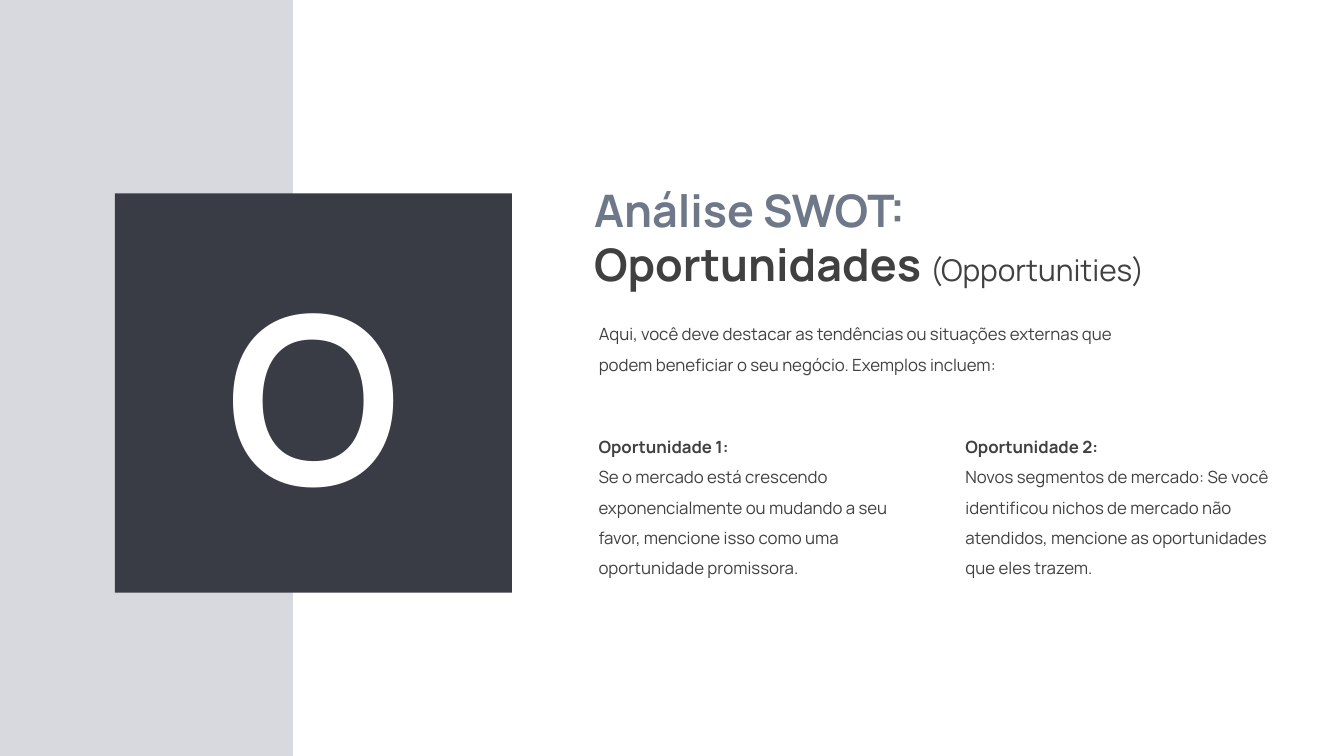
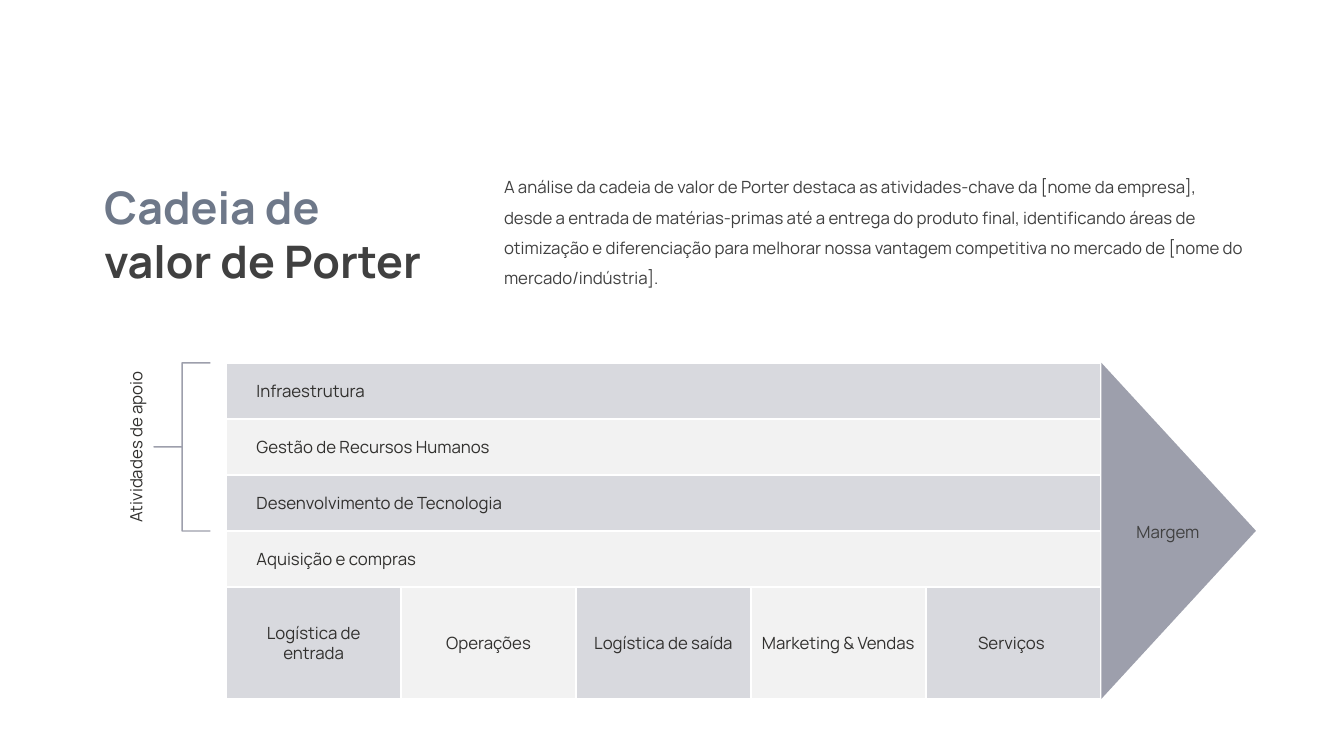
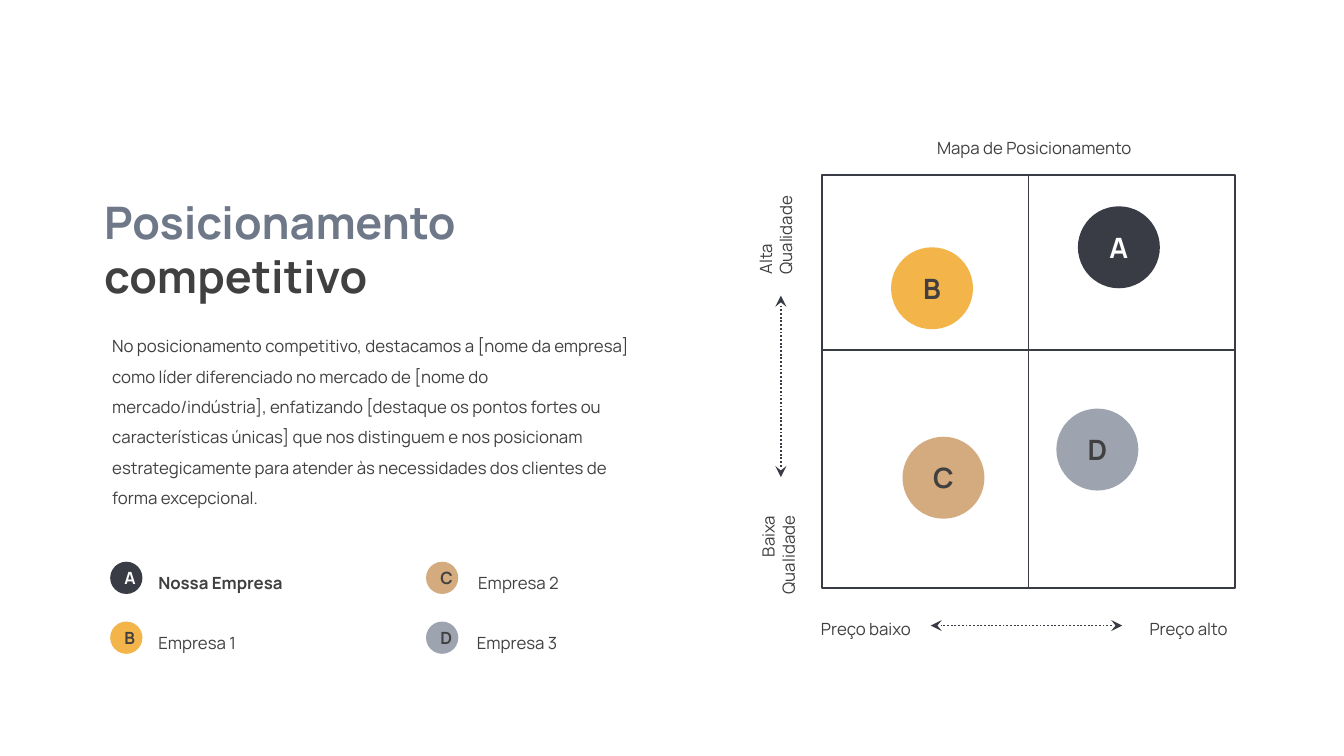
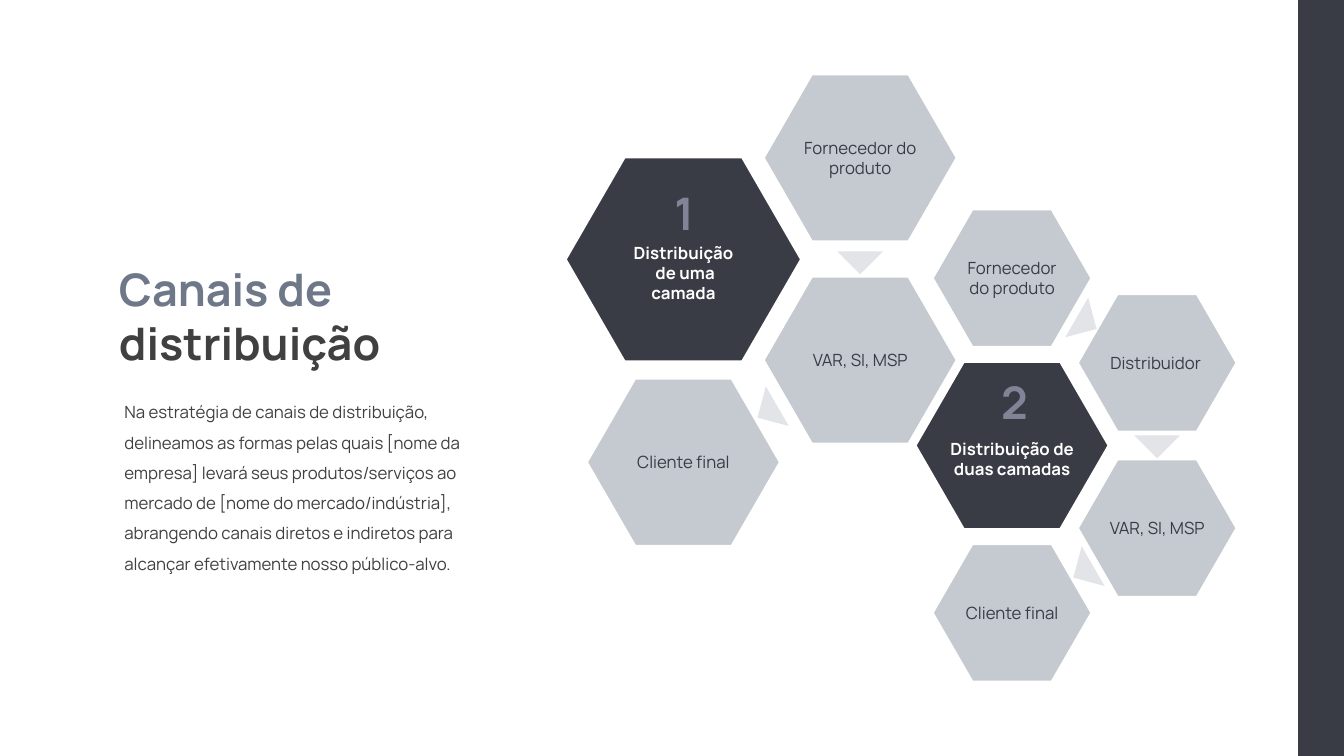
from dataclasses import dataclass

from pptx import Presentation
from pptx import util as u
from pptx.dml.color import RGBColor
from pptx.enum import dml, shapes, text
from pptx.oxml.ns import qn


@dataclass(frozen=True)
class Theme:
    font: str = "Manrope"
    dark: str = "393B45"
    steel: str = "6E7889"
    ink: str = "404040"
    label: str = "31302E"
    white: str = "FFFFFF"
    silver: str = "D8D9DE"
    pale: str = "F2F2F2"
    mauve: str = "9D9FAC"
    numeral: str = "818497"
    hexagon: str = "C5C9D0"
    pointer: str = "E2E4E8"
    amber: str = "F3B54A"
    sand: str = "D4AB7F"
    title_size: float = 24
    subtitle_size: float = 16
    body_size: float = 9
    marker_size: float = 15
    letter_size: float = 124.5
    leading: float = 1.5


theme = Theme()
PRESET = shapes.MSO_SHAPE
ALIGN = text.PP_ALIGN
ANCHOR = text.MSO_ANCHOR

presentation = Presentation()
presentation.slide_width = u.Inches(10)
presentation.slide_height = presentation.slide_width * 9 // 16

# Square grid cells: the slide is 100 columns wide and 56.25 rows high
CELL = presentation.slide_width // 100
COLUMNS, ROWS = 100, 56.25


def add_block(slide, kind, box, fill=None, line=None, width=1, opacity=100):
    """Add a text box (kind None) or a preset shape, placed in grid cells."""
    left, top, across, down = (round(value * CELL) for value in box)
    if kind is None:
        return slide.shapes.add_textbox(left, top, across, down)
    shape = slide.shapes.add_shape(kind, left, top, across, down)
    shape.shadow.inherit = False
    if fill:
        shape.fill.solid()
        shape.fill.fore_color.rgb = RGBColor.from_string(fill)
        if opacity < 100:
            color = shape.fill._xPr.find(qn("a:solidFill"))[0]
            color.append(color.makeelement(qn("a:alpha"), {"val": str(opacity * 1000)}))
    else:
        shape.fill.background()
    if line:
        shape.line.color.rgb = RGBColor.from_string(line)
        shape.line.width = u.Pt(width)
    else:
        shape.line.fill.background()
    return shape


def write(shape, words, size=theme.body_size, color=theme.ink, bold=False, align=ALIGN.LEFT,
          leading=None, anchor=ANCHOR.TOP, indent=0, tracking=0):
    """Set the words of a shape, then format its paragraphs and runs."""
    frame = shape.text_frame
    frame.text = words
    frame.word_wrap = True
    frame.auto_size = text.MSO_AUTO_SIZE.NONE
    frame.vertical_anchor = anchor
    for paragraph in frame.paragraphs:
        properties = paragraph._p.get_or_add_pPr()
        properties.set("marL", str(round(indent * CELL)))
        properties.set("indent", "0")
        properties.append(properties.makeelement(qn("a:buNone"), {}))
        paragraph.alignment = align
        paragraph.space_before = u.Pt(0)
        if leading:
            paragraph.line_spacing = leading
        for run in paragraph.runs:
            run.font.name = theme.font
            run.font.size = u.Pt(size)
            run.font.bold = bold
            run.font.color.rgb = RGBColor.from_string(color)
            if tracking:
                run._r.get_or_add_rPr().set("spc", str(tracking))
    return frame


# Titles and body texts of all slides
pages = [
    ("Análise SWOT:\nOportunidades ", (43.2, 13.1, 48.2, 9.1),
     "Aqui, você deve destacar as tendências ou situações externas que podem beneficiar o seu "
     "negócio. Exemplos incluem:", (43.55, 22.85, 43.7, 5.3), ANCHOR.TOP),
    ("Cadeia de\nvalor de Porter", (6.75, 12.9, 29.7, 9.1),
     "A análise da cadeia de valor de Porter destaca as atividades-chave da [nome da empresa], "
     "desde a entrada de matérias-primas até a entrega do produto final, identificando áreas de "
     "otimização e diferenciação para melhorar nossa vantagem competitiva no mercado de [nome do "
     "mercado/indústria].", (36.5, 12, 57.2, 9.95), ANCHOR.BOTTOM),
    ("Posicionamento\ncompetitivo", (6.75, 14, 40.8, 9.1),
     "No posicionamento competitivo, destacamos a [nome da empresa] como líder diferenciado no "
     "mercado de [nome do mercado/indústria], enfatizando [destaque os pontos fortes ou "
     "características únicas] que nos distinguem e nos posicionam estrategicamente para atender "
     "às necessidades dos clientes de forma excepcional.", (7.35, 23.75, 40.8, 14.4), ANCHOR.TOP),
    ("Canais de ", (7.85, 19, 33.2, 9.1),
     "Na estratégia de canais de distribuição, delineamos as formas pelas quais [nome da empresa] "
     "levará seus produtos/serviços ao mercado de [nome do mercado/indústria], abrangendo canais "
     "diretos e indiretos para alcançar efetivamente nosso público-alvo.",
     (8.25, 28.65, 30.9, 14.4), ANCHOR.TOP),
]
for title, title_box, body, body_box, body_anchor in pages:
    slide = presentation.slides.add_slide(presentation.slide_layouts[1])
    title_shape, body_shape = slide.placeholders
    for shape, box in ((title_shape, title_box), (body_shape, body_box)):
        shape.left, shape.top, shape.width, shape.height = (round(value * CELL) for value in box)
    frame = write(title_shape, title, theme.title_size, bold=True)
    frame.paragraphs[0].runs[0].font.color.rgb = RGBColor.from_string(theme.steel)
    write(body_shape, body, leading=theme.leading, anchor=body_anchor)

swot, chain, positioning, channels = presentation.slides

# Title endings that change style within their paragraph
for slide, ending, size, bold in ((swot, "(Opportunities)", theme.subtitle_size, False),
                                  (channels, "distribuição", theme.title_size, True)):
    run = slide.shapes.title.text_frame.paragraphs[-1].add_run()
    run.text = ending
    run.font.name = theme.font
    run.font.size = u.Pt(size)
    run.font.bold = bold
    run.font.color.rgb = RGBColor.from_string(theme.ink)

# Slide 1: SWOT letter and the two opportunities
add_block(swot, PRESET.RECTANGLE, (0, 0, 21.8, ROWS), theme.silver)
add_block(swot, PRESET.RECTANGLE, (8.55, 14.4, 29.55, 29.7), theme.dark)
write(add_block(swot, None, (13.75, 18.3, 19.2, 22)), "O", theme.letter_size, theme.white,
      bold=True, align=ALIGN.CENTER)
opportunities = [
    "Oportunidade 1:\nSe o mercado está crescendo exponencialmente ou mudando a seu favor, "
    "mencione isso como uma oportunidade promissora.",
    "Oportunidade 2:\nNovos segmentos de mercado: Se você identificou nichos de mercado não "
    "atendidos, mencione as oportunidades que eles trazem.",
]
for index, opportunity in enumerate(opportunities):
    column = add_block(swot, None, (43.55 + 27.3 * index, 31.25, 25.6, 12.2))
    frame = write(column, opportunity, leading=theme.leading)
    frame.paragraphs[0].runs[0].font.bold = True

# Slide 2: value chain, support rows above primary cells
chain_left, chain_top, chain_width, row_height = 16.83, 27, 65.05, 4.17
support = ["Infraestrutura", "Gestão de Recursos Humanos", "Desenvolvimento de Tecnologia",
           "Aquisição e compras"]
primary = ["Logística de entrada", "Operações", "Logística de saída", "Marketing & Vendas",
           "Serviços "]
primary_top = chain_top + row_height * len(support)
cell_width = chain_width / len(primary)
activities = [(name, (chain_left, chain_top + row_height * index, chain_width, row_height),
               index, ALIGN.LEFT, 1.5) for index, name in enumerate(support)]
activities += [(name, (chain_left + cell_width * index, primary_top, cell_width, 2 * row_height),
                index, ALIGN.CENTER, 0) for index, name in enumerate(primary)]
for name, box, index, align, indent in activities:
    fill = (theme.silver, theme.pale)[index % 2]
    activity = add_block(chain, PRESET.RECTANGLE, box, fill, theme.white)
    frame = write(activity, name, color=theme.label, align=align, anchor=ANCHOR.MIDDLE,
                  indent=indent)
    frame.margin_left = frame.margin_right = u.Pt(5.4)

margin = add_block(chain, PRESET.RIGHT_ARROW, (81.95, chain_top, 11.5, 25), theme.mauve)
margin.adjustments[0] = margin.adjustments[1] = 1
write(add_block(chain, None, (81.2, 38.35, 11.4, 2.5)), "Margem", align=ALIGN.CENTER)
brace = add_block(chain, PRESET.LEFT_BRACE, (11.45, chain_top, 4.2, 3 * row_height),
                  line=theme.mauve, width=0.75)
brace.adjustments[0], brace.adjustments[1] = 0, 0.5
support_label = add_block(chain, None, (1.2, 31.7, 17.8, 3.1))
support_label.rotation = 270
write(support_label, "Atividades de apoio", color=theme.label, align=ALIGN.CENTER, leading=1.2)

# Slide 3: positioning map, axes and arrows
map_left, map_top, map_side = 61.15, 13, 30.75
add_block(positioning, PRESET.RECTANGLE, (map_left, map_top, map_side, map_side), line=theme.dark)
map_middle = map_left + map_side / 2
axes = [
    (map_left, 26.05, map_left + map_side, 26.05, False),
    (map_middle, map_top + map_side, map_middle, map_top, False),
    (58.1, 35.5, 58.1, 22, True),
    (83.5, 46.55, 69.25, 46.55, True),
]
for *ends, arrow in axes:
    axis = positioning.shapes.add_connector(shapes.MSO_CONNECTOR.STRAIGHT,
                                            *(round(value * CELL) for value in ends))
    axis.line.color.rgb = RGBColor.from_string(theme.dark)
    axis.line.width = u.Pt(1)
    if arrow:
        axis.line.dash_style = dml.MSO_LINE.ROUND_DOT
        outline = axis.line._get_or_add_ln()
        for end in ("a:headEnd", "a:tailEnd"):
            outline.append(outline.makeelement(qn(end), {"type": "stealth"}))
    properties = axis._element.spPr
    properties.append(properties.makeelement(qn("a:effectLst"), {}))

map_labels = [
    ("Mapa de Posicionamento", (64.95, 9.75, 24, 2.5), ALIGN.CENTER, False),
    ("Alta Qualidade", (55.7, 13.2, 5, 8.2), ALIGN.LEFT, True),
    ("Baixa Qualidade", (55.9, 37.4, 5, 11), ALIGN.RIGHT, True),
    ("Preço baixo", (60.1, 45.55, 12.2, 2.5), ALIGN.LEFT, False),
    ("Preço alto", (84.55, 45.55, 10.5, 2.5), ALIGN.LEFT, False),
]
for name, box, align, upright in map_labels:
    frame = write(add_block(positioning, None, box), name, align=align)
    if upright:
        frame._txBody.bodyPr.set("vert", "vert270")

# Each company: a marker on the map and a legend entry
companies = [
    ("A", "Nossa Empresa", theme.dark, theme.white, 100, (80.2, 15.35), (8.2, 41.8), 10.8),
    ("B", "Empresa 1", theme.amber, theme.ink, 100, (66.3, 18.4), (8.2, 46.25), 10.8),
    ("C", "Empresa 2", theme.sand, theme.ink, 100, (67.15, 32.5), (31.7, 41.8), 34.6),
    ("D", "Empresa 3", theme.steel, theme.ink, 67, (78.6, 30.4), (31.7, 46.25), 34.5),
]
for letter, name, fill, color, opacity, map_spot, key_spot, name_left in companies:
    for spot, side, size in ((map_spot, 6.1, theme.marker_size), (key_spot, 2.4, theme.body_size)):
        marker = add_block(positioning, PRESET.OVAL, (*spot, side, side), fill, opacity=opacity)
        write(marker, letter, size, color, bold=True, align=ALIGN.CENTER, anchor=ANCHOR.MIDDLE,
              tracking=80)
    write(add_block(positioning, None, (name_left, key_spot[1] - 0.35, 17.7, 3.1)), name,
          bold=letter == "A", leading=theme.leading, anchor=ANCHOR.MIDDLE)

# Slide 4: side band and hexagons given by centre and width
add_block(channels, PRESET.RECTANGLE, (96.6, 0, COLUMNS - 96.6, ROWS), theme.dark)
hexagons = [
    ("Distribuição\v de uma\vcamada", 50.85, 19.3, 17.5, True),
    ("Fornecedor do produto", 64, 11.75, 14.35, False),
    ("VAR, SI, MSP", 64, 26.8, 14.35, False),
    ("Cliente final", 50.85, 34.4, 14.35, False),
    ("Distribuição de duas camadas", 75.3, 33.15, 14.35, True),
    ("Fornecedor do produto", 75.3, 20.7, 11.8, False),
    ("Distribuidor ", 86.1, 27, 11.8, False),
    ("VAR, SI, MSP", 86.1, 39.3, 11.8, False),
    ("Cliente final", 75.3, 45.6, 11.8, False),
]
for name, center_x, center_y, width, heading in hexagons:
    half_height = width * 0.433
    corners = [(-0.5, 0), (-0.25, -1), (0.25, -1), (0.5, 0), (0.25, 1), (-0.25, 1)]
    points = [(round((center_x + x * width) * CELL), round((center_y + y * half_height) * CELL))
              for x, y in corners]
    builder = channels.shapes.build_freeform(*points[0])
    builder.add_line_segments(points[1:], close=True)
    hexagon = builder.convert_to_shape()
    hexagon.shadow.inherit = False
    hexagon.fill.solid()
    hexagon.fill.fore_color.rgb = RGBColor.from_string(theme.dark if heading else theme.hexagon)
    hexagon.line.color.rgb = RGBColor.from_string(theme.white)
    hexagon.line.width = u.Pt(1)
    frame = write(hexagon, name, color=theme.white if heading else theme.dark, bold=heading,
                  align=ALIGN.CENTER, anchor=ANCHOR.MIDDLE)
    frame.margin_left = frame.margin_right = round(0.17 * width * CELL)
    frame.margin_top = frame.margin_bottom = round(0.15 * width * CELL)
    if heading:
        frame.margin_top += 2 * CELL

# Numerals over the headings and pointers between the steps
for numeral, left, top in (("1", 49.2, 13.3), ("2", 73.5, 27.4)):
    write(add_block(channels, None, (left, top, 3.3, 5)), numeral, theme.title_size,
          theme.numeral, bold=True, align=ALIGN.CENTER)
pointers = [(62.3, 18.7, 180), (55.4, 29.8, 240), (79.15, 23.2, 120), (84.4, 32.4, 180),
            (78.9, 41.7, 240)]
for left, top, angle in pointers:
    pointer = add_block(channels, PRESET.ISOSCELES_TRIANGLE, (left, top, 3.4, 1.7), theme.pointer)
    pointer.rotation = angle

presentation.save("out.pptx")
